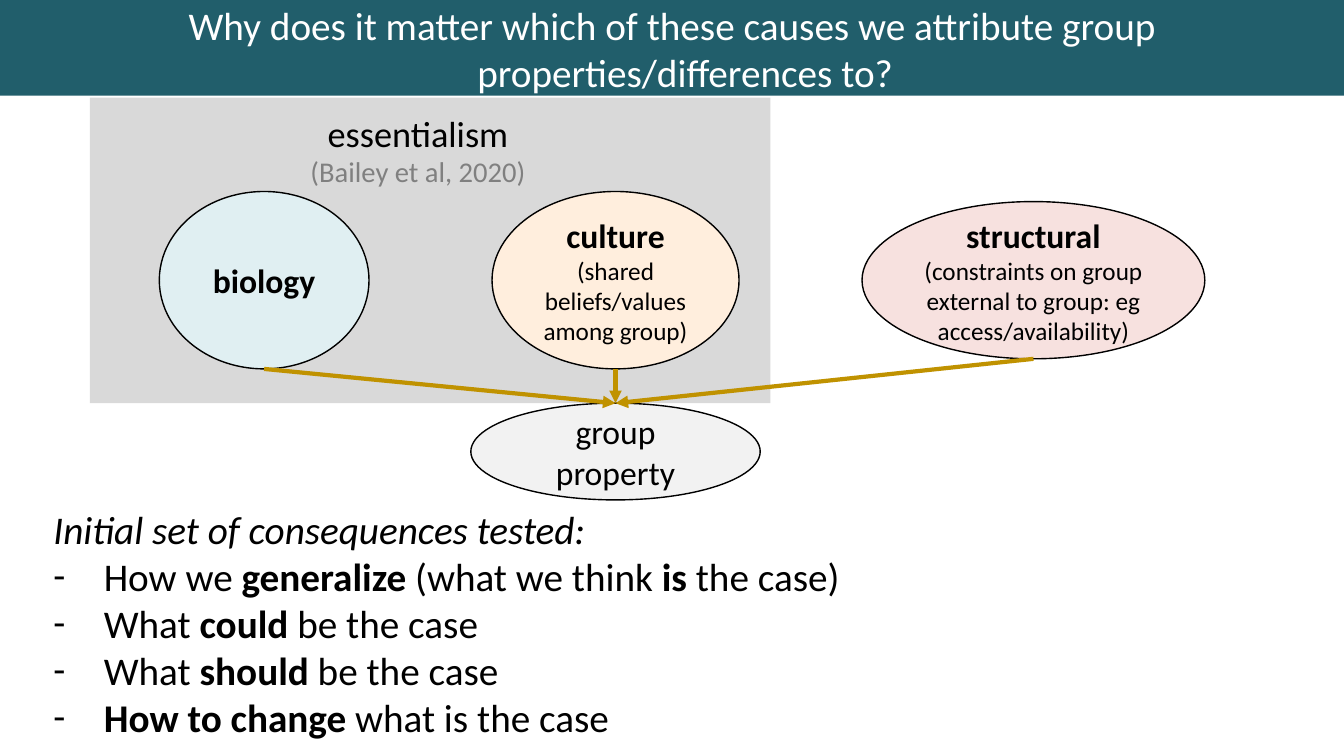
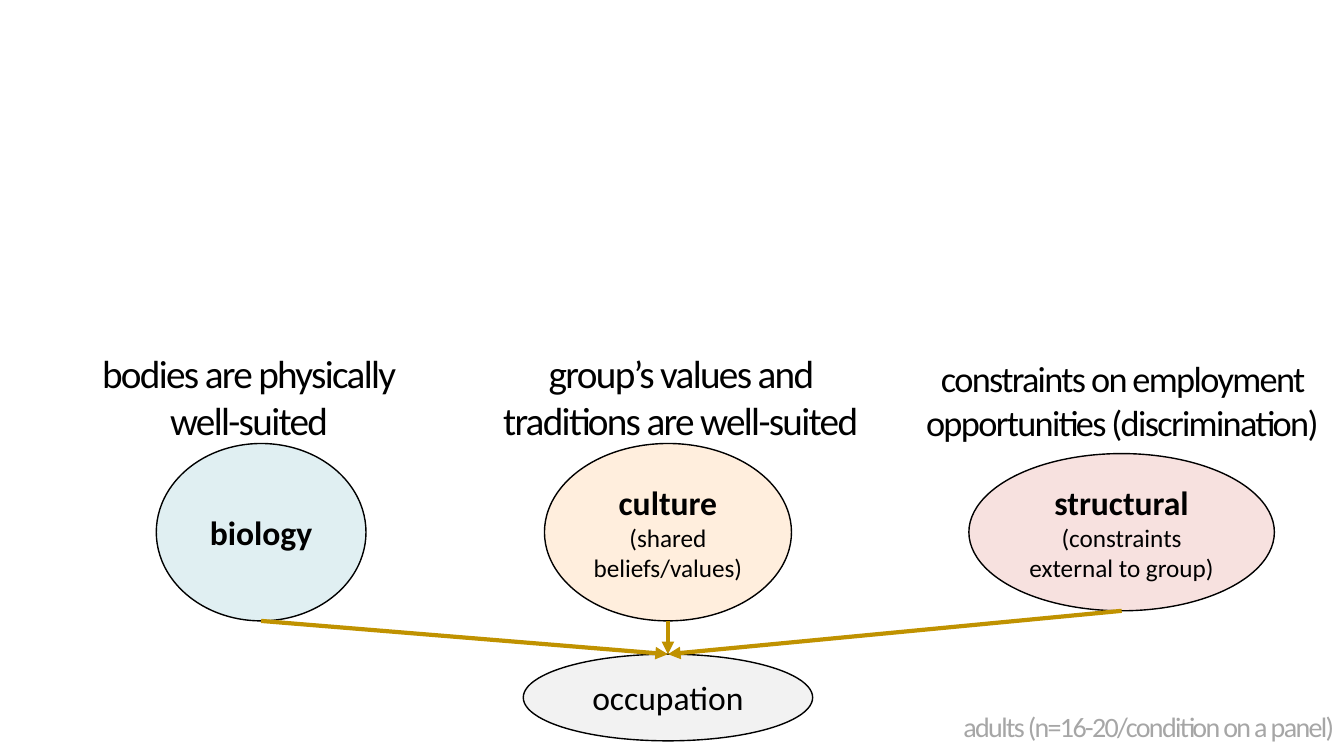
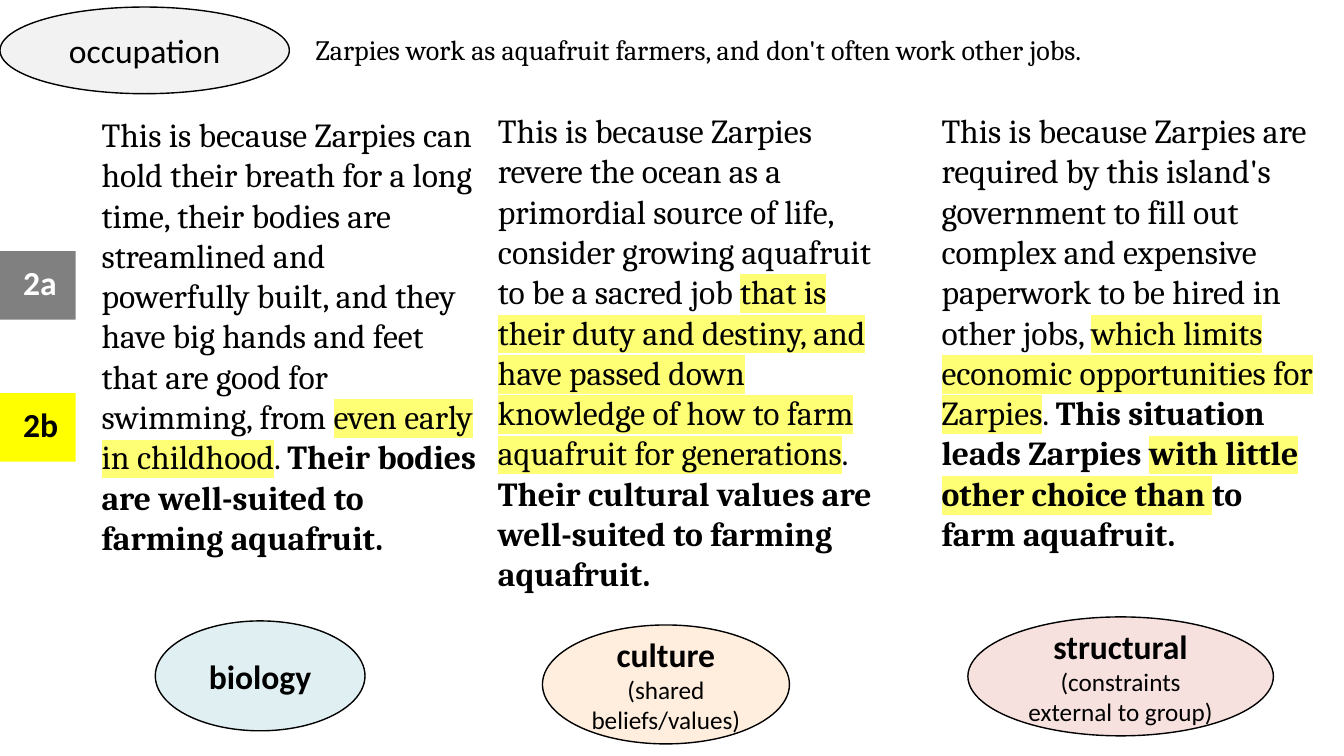
from typing import NamedTuple

from lxml import etree
from pptx import Presentation
from pptx import util as u
from pptx.dml.color import RGBColor
from pptx.enum import shapes, text
from pptx.oxml.ns import qn

# Shared look
COLORS = {
    "band": "215E6B", "white": "FFFFFF", "black": "000000",
    "panel": "D9D9D9", "cite": "808080", "footnote": "A6A6A6",
    "biology": "E0EFF2", "culture": "FFEEDD", "structural": "F7E1DF",
    "effect": "F2F2F2", "arrow": "C09200",
    "tag_old": "808080", "tag_new": "FFFF00", "mark": "FFFF75",
}
SANS, SERIF = "Calibri", "Cambria"
CENTER, LEFT, RIGHT = text.PP_ALIGN.CENTER, text.PP_ALIGN.LEFT, text.PP_ALIGN.RIGHT
TOP, MIDDLE = text.MSO_ANCHOR.TOP, text.MSO_ANCHOR.MIDDLE
OVAL, RECT = shapes.MSO_SHAPE.OVAL, shapes.MSO_SHAPE.RECTANGLE
BOLD, ITALIC = {"bold": True}, {"italic": True}
MARK = {"mark": True}
BOLD_MARK = {"bold": True, "mark": True}
CAUSES = ("biology", "culture", "structural")
SHORT_NOTES = {"culture": "(shared beliefs/values)",
               "structural": "(constraints external to group)"}


class Box(NamedTuple):
    left: float
    top: float
    width: float
    height: float

    def inches(self):
        return [u.Inches(length) for length in self]

    def top_center(self):
        return u.Inches(self.left + self.width / 2), u.Inches(self.top)

    def bottom_center(self):
        return (u.Inches(self.left + self.width / 2),
                u.Inches(self.top + self.height))


def rgb(name):
    return RGBColor.from_string(COLORS[name])


# Text helpers
def style_run(run, size, font=SANS, color="black", bold=False, italic=False,
              mark=False, spacing=None):
    run.font.size = u.Pt(size)
    run.font.name = font
    run.font.bold = bold
    run.font.italic = italic
    run.font.color.rgb = rgb(color)
    props = run.font._element
    if spacing is not None:
        props.set("spc", str(round(spacing * 100)))
    if mark:
        highlight = etree.Element(qn("a:highlight"))
        etree.SubElement(highlight, qn("a:srgbClr"), val=COLORS["mark"])
        props.find(qn("a:solidFill")).addnext(highlight)


def fill_para(para, spans, align=LEFT, **style):
    """Write (text, style) spans; a plain string is a single span."""
    para.alignment = align
    para.space_before = u.Pt(0)
    if isinstance(spans, str):
        spans = [(spans, {})]
    for words, extra in spans:
        for index, line in enumerate(words.split("\v")):
            if index:
                para.add_line_break()
            run = para.add_run()
            run.text = line
            style_run(run, **{**style, **extra})


def set_indent(para, margin, first=0, bullet=None):
    props = para._p.get_or_add_pPr()
    props.set("marL", str(u.Inches(margin)))
    props.set("indent", str(u.Inches(first)))
    if bullet:
        etree.SubElement(props, qn("a:buFont"), typeface=SANS)
        etree.SubElement(props, qn("a:buChar"), char=bullet)
    else:
        etree.SubElement(props, qn("a:buNone"))


def setup_frame(frame, anchor):
    frame.word_wrap = True
    frame.auto_size = text.MSO_AUTO_SIZE.NONE
    frame.vertical_anchor = anchor
    return frame


def add_text(page, box, spans, anchor=MIDDLE, **style):
    frame = setup_frame(page.shapes.add_textbox(*box.inches()).text_frame, anchor)
    fill_para(frame.paragraphs[0], spans, **style)
    return frame


def place(holder, box):
    holder.left, holder.top, holder.width, holder.height = box.inches()


# Shape helpers
def add_block(page, kind, box, fill, outline=False):
    shape = page.shapes.add_shape(kind, *box.inches())
    shape.shadow.inherit = False
    shape.fill.solid()
    shape.fill.fore_color.rgb = rgb(fill)
    if outline:
        shape.line.color.rgb = rgb("black")
        shape.line.width = u.Pt(1)
    else:
        shape.line.fill.background()
    setup_frame(shape.text_frame, MIDDLE)
    return shape


def add_oval(page, box, fill, label, note=None, bold=False):
    frame = add_block(page, OVAL, box, fill, outline=True).text_frame
    fill_para(frame.paragraphs[0], label, CENTER, size=24, bold=bold)
    if note:
        fill_para(frame.add_paragraph(), note, CENTER, size=18)


def add_arrow(page, start, end):
    arrow = page.shapes.add_connector(shapes.MSO_CONNECTOR.STRAIGHT, *start, *end)
    arrow.line.color.rgb = rgb("arrow")
    arrow.line.width = u.Pt(3)
    etree.SubElement(arrow.line._get_or_add_ln(), qn("a:tailEnd"), type="triangle")
    etree.SubElement(arrow._element.spPr, qn("a:effectLst"))


# Regions
def cause_row(page, boxes, notes):
    for cause, box in zip(CAUSES, boxes):
        add_oval(page, box, cause, cause, notes.get(cause), bold=True)


def causal_diagram(page, boxes, notes, effect, effect_box):
    cause_row(page, boxes, notes)
    add_oval(page, effect_box, "effect", effect)
    for box in boxes:
        add_arrow(page, box.bottom_center(), effect_box.top_center())


def title_band(page, box, words):
    title = page.shapes.title
    place(title, box)
    title.fill.solid()
    title.fill.fore_color.rgb = rgb("band")
    para = setup_frame(title.text_frame, MIDDLE).paragraphs[0]
    set_indent(para, 0.26, -0.26)
    fill_para(para, words, CENTER, size=28, color="white")


def essentialism_panel(page, box):
    add_block(page, RECT, box, "panel")
    label_box = Box(box.left + 2.03, box.top, 2.45, 1.03)
    frame = add_text(page, label_box, "essentialism", align=CENTER, size=25.9)
    fill_para(frame.add_paragraph(), "(Bailey et al, 2020)", CENTER,
              size=20.4, color="cite")


def consequence_list(page, box, heading, items):
    body = page.placeholders[1]
    place(body, box)
    frame = setup_frame(body.text_frame, TOP)
    set_indent(frame.paragraphs[0], 0)
    fill_para(frame.paragraphs[0], heading, size=28, **ITALIC)
    for spans in items:
        para = frame.add_paragraph()
        set_indent(para, 0.5, -0.5, bullet="-")
        fill_para(para, spans, size=28)


def study_tag(page, box, label, fill, color):
    para = add_block(page, RECT, box, fill).text_frame.paragraphs[0]
    set_indent(para, 0.13)
    para.line_spacing = 0.85
    fill_para(para, label, size=24, color=color, bold=True)


# Slides
def consequences_slide(deck):
    page = deck.slides.add_slide(deck.slide_layouts[1])
    title_band(page, Box(0, 0, 13.33, 0.95),
               "Why does it matter which of these causes we attribute group "
               "properties/differences to?")
    essentialism_panel(page, Box(0.89, 0.97, 6.75, 3.03))
    causal_diagram(
        page,
        [Box(1.58, 1.9, 2.08, 1.76), Box(4.88, 1.9, 2.45, 1.76),
         Box(8.55, 2, 3.4, 1.56)],
        {"culture": "(shared beliefs/values among group)",
         "structural": "(constraints on group external to group: eg "
                       "access/availability)"},
        "group property", Box(4.67, 4, 2.87, 0.96))
    consequence_list(
        page, Box(0.43, 4.96, 12.18, 2.46), "Initial set of consequences tested:",
        [[("How we ", {}), ("generalize ", BOLD), ("(what we think ", {}),
          ("is", BOLD), (" the case)", {})],
         [("What ", {}), ("could", BOLD), (" be the case", {})],
         [("What ", {}), ("should", BOLD), (" be the case", {})],
         [("How to change ", BOLD), ("what is the case", {})]])


def occupation_slide(deck):
    page = deck.slides.add_slide(deck.slide_layouts[6])
    causal_diagram(
        page,
        [Box(1.55, 4.4, 2.08, 1.76), Box(5.4, 4.4, 2.45, 1.76),
         Box(9.61, 4.5, 3.03, 1.56)],
        SHORT_NOTES, "occupation", Box(5.19, 6.49, 2.87, 0.86))
    captions = [
        (Box(0.53, 3.39, 3.88, 1.09), 28, "bodies are physically\vwell-suited"),
        (Box(4.79, 3.34, 3.92, 1.18), 28,
         "group’s values and traditions are well-suited"),
        (Box(9.02, 3.3, 4.22, 1.34), 25.9,
         "constraints on employment opportunities (discrimination)"),
    ]
    for box, size, words in captions:
        add_text(page, box, words, align=CENTER, size=size, spacing=-1.2)
    add_text(page, Box(9.4, 6.99, 3.93, 0.45), "adults (n=16-20/condition on a panel)",
             TOP, align=RIGHT, size=20, color="footnote", spacing=-1.2)


def vignettes_slide(deck):
    page = deck.slides.add_slide(deck.slide_layouts[6])
    cause_row(page,
              [Box(1.54, 6.16, 2.08, 1.09), Box(5.38, 6.2, 2.45, 1.18),
               Box(9.6, 6.12, 3.03, 1.18)], SHORT_NOTES)
    add_oval(page, Box(0, 0.07, 2.87, 0.86), "effect", "occupation")
    study_tag(page, Box(0, 2.49, 0.75, 0.68), "2a", "tag_old", "white")
    study_tag(page, Box(0, 3.9, 0.75, 0.68), "2b", "tag_new", "black")
    add_text(page, Box(1.86, 0.2, 10.14, 0.58),
             "Zarpies work as aquafruit farmers, and don't often work other jobs.",
             align=CENTER, size=20, font=SERIF)
    vignettes = [
        (Box(0.91, 1.08, 3.93, 4.54), [
            ("This is because Zarpies can hold their breath for a long time, "
             "their bodies are streamlined and powerfully built, and they have "
             "big hands and feet that are good for swimming, from ", {}),
            ("even early in childhood", MARK), (". ", {}),
            ("Their bodies are well-suited to farming aquafruit.", BOLD)]),
        (Box(4.84, 1.04, 4.12, 4.95), [
            ("This is because Zarpies revere the ocean as a primordial source "
             "of life, consider growing aquafruit to be a sacred job ", {}),
            ("that is their duty and destiny, and have passed down knowledge "
             "of how to farm aquafruit for generations", MARK), (". ", {}),
            ("Their cultural values are well-suited to farming aquafruit.", BOLD)]),
        (Box(9.24, 1.04, 3.93, 4.95), [
            ("This is because Zarpies are required by this island's government "
             "to fill out complex and expensive paperwork to be hired in other "
             "jobs, ", {}),
            ("which limits economic opportunities for Zarpies", MARK), (". ", {}),
            ("This situation leads Zarpies ", BOLD),
            ("with little other choice than ", BOLD_MARK),
            ("to farm aquafruit.", BOLD)]),
    ]
    for box, spans in vignettes:
        add_text(page, box, spans, TOP, size=24, font=SERIF)


def main():
    deck = Presentation()
    deck.slide_width, deck.slide_height = u.Inches(13.33), u.Inches(7.5)
    consequences_slide(deck)
    occupation_slide(deck)
    vignettes_slide(deck)
    deck.save("out.pptx")


if __name__ == "__main__":
    main()
